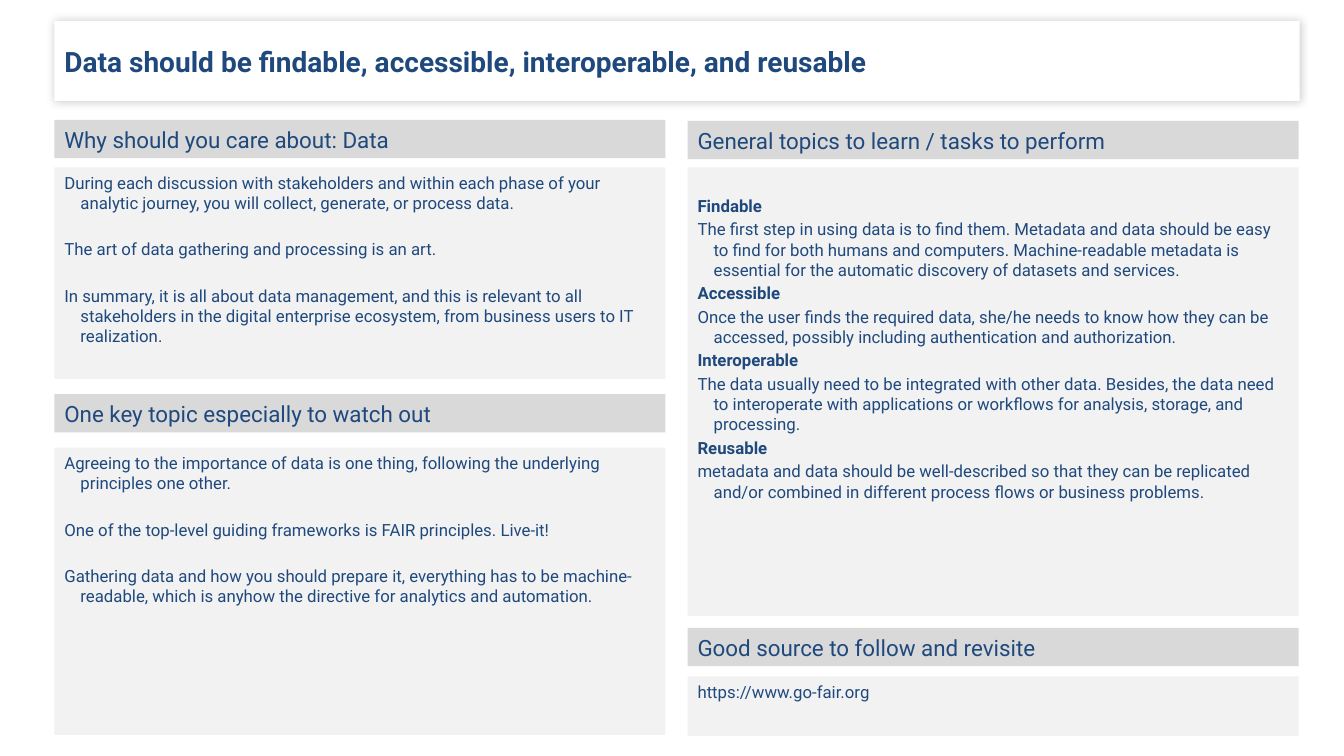
from lxml.etree import SubElement as Sub
from pptx import Presentation
from pptx.dml.color import RGBColor as RGB
from pptx.enum.shapes import MSO_SHAPE as Shape
from pptx.enum.text import MSO_ANCHOR as Anchor, PP_ALIGN as Align
from pptx.oxml.ns import qn
from pptx.util import Inches, Pt

NAVY = RGB(0x1F, 0x49, 0x7D)
WHITE = RGB(0xFF, 0xFF, 0xFF)
PALE = RGB(0xF2, 0xF2, 0xF2)
GREY = RGB(0xD9, 0xD9, 0xD9)

LEFT, RIGHT, WIDE = 0.54, 6.82, 6.06
HEAD = 0.38
TIGHT, LOOSE = 2.4, 18.9

WHY = [
    "During each discussion with stakeholders and within each phase of your analytic journey, you will collect, generate, or process data.",
    "The art of data gathering and processing is an art.",
    "In summary, it is all about data management, and this is relevant to all stakeholders in the digital enterprise ecosystem, from business users to IT realization.",
]
WATCH = [
    "Agreeing to the importance of data is one thing, following the underlying principles one other.",
    "One of the top-level guiding frameworks is FAIR principles. Live-it!",
    "Gathering data and how you should prepare it, everything has to be machine-readable, which is anyhow the directive for analytics and automation.",
]
TERMS = {
    "Findable": "The first step in using data is to find them. Metadata and data should be easy to find for both humans and computers. Machine-readable metadata is essential for the automatic discovery of datasets and services.",
    "Accessible": "Once the user finds the required data, she/he needs to know how they can be accessed, possibly including authentication and authorization.",
    "Interoperable": "The data usually need to be integrated with other data. Besides, the data need to interoperate with applications or workflows for analysis, storage, and processing.",
    "Reusable": "metadata and data should be well-described so that they can be replicated and/or combined in different process flows or business problems.",
}


def add_box(slide, x, y, w, h, fill):
    box = slide.shapes.add_shape(Shape.RECTANGLE, Inches(x), Inches(y), Inches(w), Inches(h))
    box.shadow.inherit = False
    box.fill.solid()
    box.fill.fore_color.rgb = fill
    box.line.fill.background()
    return box


def write(box, lines, size=12, bold=(), gap=0, hang=0, anchor=Anchor.TOP, top=0.05):
    frame = box.text_frame
    frame.word_wrap = True
    frame.vertical_anchor = anchor
    frame.margin_top = Inches(top)
    for i, text in enumerate(lines):
        para = frame.paragraphs[0] if i == 0 else frame.add_paragraph()
        para.alignment = Align.LEFT
        para.space_before = Pt(gap if i else 0)
        props = para._p.get_or_add_pPr()
        props.set("marL", str(Inches(hang)))
        props.set("indent", str(-Inches(hang)))
        run = para.add_run()
        run.text = text
        font = run.font
        font.name, font.size, font.bold = "Roboto", Pt(size), text in bold
        font.color.rgb = NAVY


def add_glow(box):
    effects = box._element.spPr.find(qn("a:effectLst"))
    shade = Sub(effects, qn("a:outerShdw"), blurRad=str(Pt(6)), dist="0",
                dir="18900000", algn="ctr", rotWithShape="0")
    tint = Sub(shade, qn("a:srgbClr"), val="000000")
    Sub(tint, qn("a:alpha"), val="20000")


def add_title(slide, x, y, w, h, text):
    box = add_box(slide, x, y, w, h, WHITE)
    add_glow(box)
    write(box, [text], size=20, bold=[text], anchor=Anchor.MIDDLE)


def add_panel(slide, x, y, h, title, lines, start, **style):
    head = add_box(slide, x, y, WIDE, HEAD, GREY)
    write(head, [title], size=16, anchor=Anchor.MIDDLE)
    body = add_box(slide, x, y + start, WIDE, h - start, PALE)
    write(body, lines, hang=0.16, **style)


def main():
    deck = Presentation()
    deck.slide_width, deck.slide_height = Inches(13.33), Inches(7.5)
    slide = deck.slides.add_slide(deck.slide_layouts[6])
    add_title(slide, LEFT, 0.21, 12.35, 0.79,
              "Data should be findable, accessible, interoperable, and reusable")
    add_panel(slide, LEFT, 1.19, 2.57, "Why should you care about: Data",
              WHY, 0.47, gap=LOOSE)
    add_panel(slide, LEFT, 3.91, 3.38, "One key topic especially to watch out",
              WATCH, 0.53, gap=LOOSE)
    terms = [line for pair in TERMS.items() for line in pair]
    add_panel(slide, RIGHT, 1.2, 4.91, "General topics to learn / tasks to perform",
              terms, 0.46, gap=TIGHT, bold=TERMS, top=0.28)
    add_panel(slide, RIGHT, 6.23, 1.07, "Good source to follow and revisite",
              ["https://www.go-fair.org"], 0.48)
    deck.save("out.pptx")


if __name__ == "__main__":
    main()
